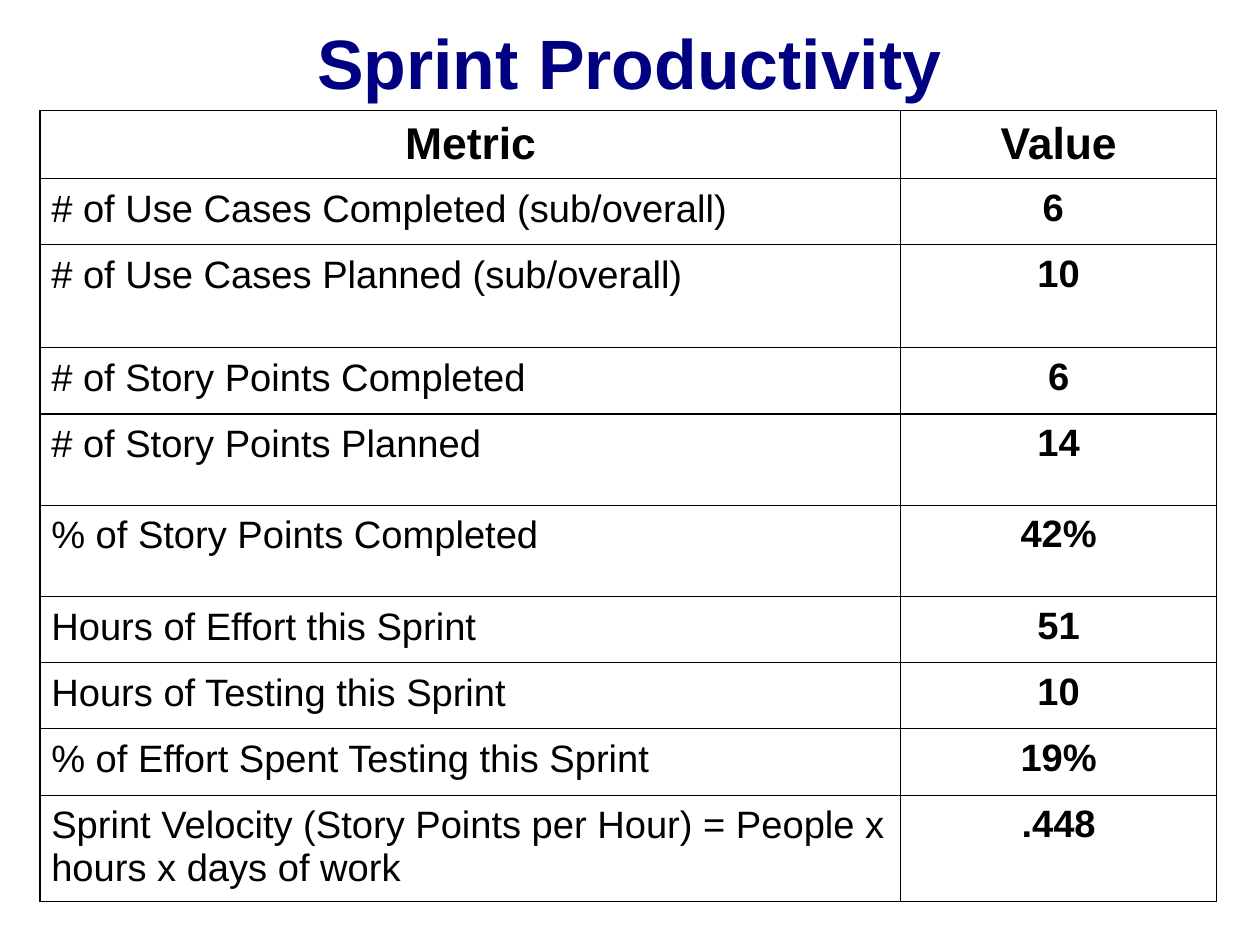
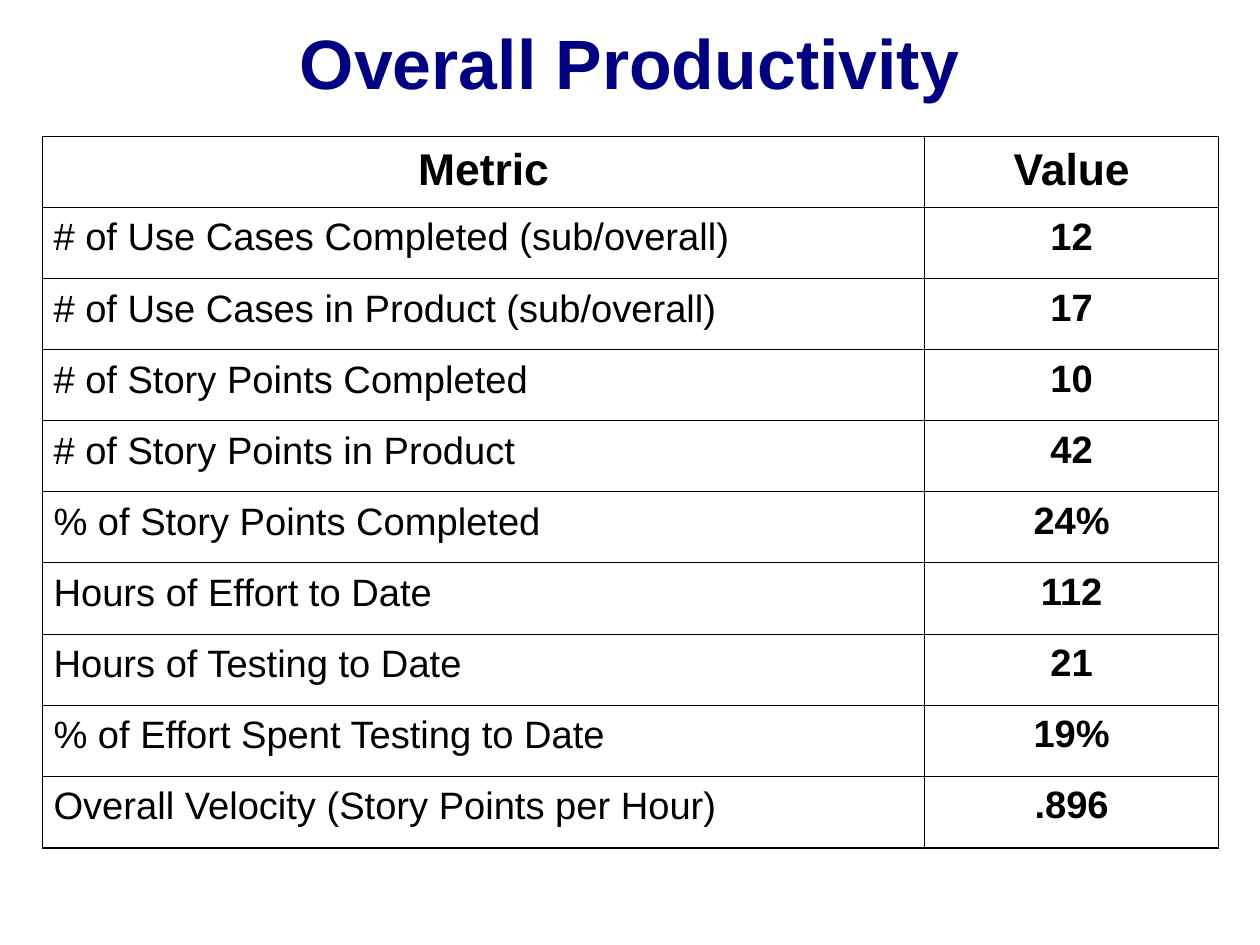
import dataclasses

import lxml.etree
import pptx
import pptx.dml.color
import pptx.enum.text
import pptx.oxml.ns
import pptx.util

Cm = pptx.util.Cm
Pt = pptx.util.Pt
Align = pptx.enum.text.PP_ALIGN


@dataclasses.dataclass(frozen=True)
class Theme:
    font: str = "Arial"
    title_color: str = "000080"
    text_color: str = "000000"
    title_size: int = 44
    header_size: int = 28
    body_size: int = 24
    outer_line: float = 1.08
    inner_line: float = 0.75


theme = Theme()


def write_text(frame, text, size, color, bold, align, space=0):
    para = frame.paragraphs[0]
    para.alignment = align
    para.space_before = Pt(space)
    span = para.add_run()
    span.text = text
    formats = {"name": theme.font, "size": Pt(size), "bold": bold}
    for name, value in formats.items():
        setattr(span.font, name, value)
    span.font.color.rgb = pptx.dml.color.RGBColor.from_string(color)


def draw_borders(cell, widths):
    qn = pptx.oxml.ns.qn
    properties = cell._tc.get_or_add_tcPr()
    for position, (side, width) in enumerate(widths.items()):
        line = lxml.etree.Element(qn(f"a:ln{side}"), w=str(int(Pt(width))))
        fill = lxml.etree.SubElement(line, qn("a:solidFill"))
        lxml.etree.SubElement(fill, qn("a:srgbClr"), val=theme.text_color)
        properties.insert(position, line)


header = ("Metric", "Value")
pages = [
    {
        "title": "Sprint Productivity",
        "corner": (0.89, 2.46),
        "columns": (19.13, 7.01),
        "heights": (1.51, 1.47, 2.29, 1.47, 2.03, 2.03, 1.47, 1.47, 1.47, 2.36),
        "rows": [
            ("# of Use Cases Completed (sub/overall)", "6 "),
            ("# of Use Cases Planned (sub/overall)", "10"),
            ("# of Story Points Completed", "6"),
            ("# of Story Points Planned", "14"),
            ("% of Story Points Completed", "42%"),
            ("Hours of Effort this Sprint", "51"),
            ("Hours of Testing this Sprint", "10"),
            ("% of Effort Spent Testing this Sprint", "19%"),
            ("Sprint Velocity (Story Points per Hour) = People x hours x days of work", ".448"),
        ],
    },
    {
        "title": "Overall Productivity",
        "corner": (0.94, 3.03),
        "columns": (19.61, 6.53),
        "heights": (1.58,) * 9 + (1.6,),
        "rows": [
            ("# of Use Cases Completed (sub/overall)", "12"),
            ("# of Use Cases in Product (sub/overall)", "17"),
            ("# of Story Points Completed", "10"),
            ("# of Story Points in Product", "42"),
            ("% of Story Points Completed", "24%"),
            ("Hours of Effort to Date", "112"),
            ("Hours of Testing to Date", "21"),
            ("% of Effort Spent Testing to Date", "19%"),
            ("Overall Velocity (Story Points per Hour)", ".896"),
        ],
    },
]

deck = pptx.Presentation()
deck.slide_width, deck.slide_height = Cm(28), Cm(21)
layout = deck.slide_layouts.get_by_name("Title Only")
title_box = {"left": Cm(2.1), "top": Cm(0.2), "width": Cm(23.8), "height": Cm(2.34)}
for name, value in title_box.items():
    setattr(layout.placeholders[0], name, value)

for content in pages:
    page = deck.slides.add_slide(layout)
    title = page.shapes.title.text_frame
    title.auto_size = pptx.enum.text.MSO_AUTO_SIZE.NONE
    title.vertical_anchor = pptx.enum.text.MSO_ANCHOR.MIDDLE
    write_text(title, content["title"], theme.title_size, theme.title_color, True, Align.CENTER)

    rows = [header] + content["rows"]
    left, top = content["corner"]
    table = page.shapes.add_table(
        len(rows), len(header), Cm(left), Cm(top),
        Cm(sum(content["columns"])), Cm(sum(content["heights"])),
    ).table
    table.first_row = False
    table.horz_banding = False
    for column, width in zip(table.columns, content["columns"]):
        column.width = Cm(width)

    for row_index, texts in enumerate(rows):
        table.rows[row_index].height = Cm(content["heights"][row_index])
        is_header = row_index == 0
        for column_index, text in enumerate(texts):
            cell = table.cell(row_index, column_index)
            is_value = column_index == 1
            plain_value = is_value and not is_header
            margins = {
                "margin_left": Cm(0.25),
                "margin_right": Cm(0.25),
                "margin_top": Cm(0.18 if plain_value else 0.2),
                "margin_bottom": Cm(0.13),
            }
            for name, value in margins.items():
                setattr(cell, name, value)
            write_text(
                cell.text_frame,
                text,
                theme.header_size if is_header else theme.body_size,
                theme.text_color,
                is_header or is_value,
                Align.CENTER if is_header or is_value else Align.LEFT,
                0 if plain_value else 7,
            )
            cell.fill.background()
            outer_sides = {
                "L": not is_value,
                "R": is_value,
                "T": is_header,
                "B": row_index == len(rows) - 1,
            }
            draw_borders(cell, {
                side: theme.outer_line if outer else theme.inner_line
                for side, outer in outer_sides.items()
            })

deck.save("out.pptx")
